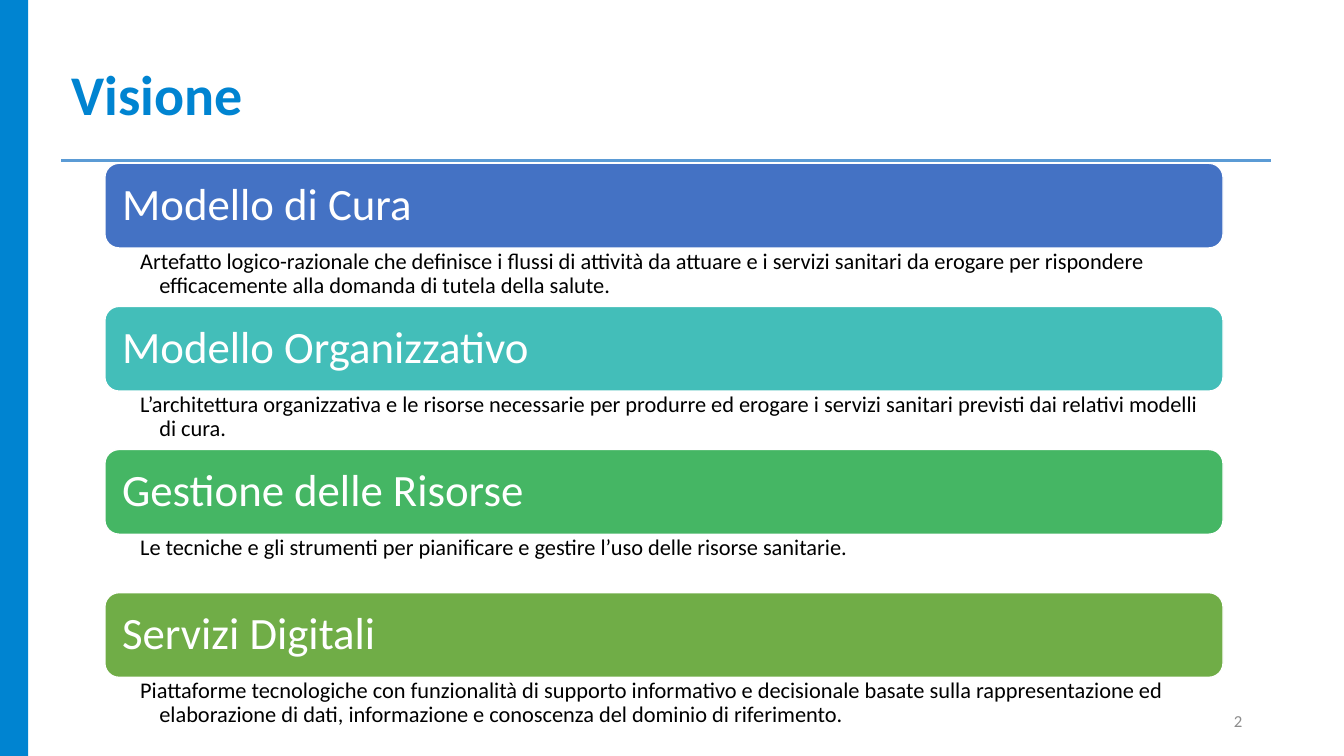
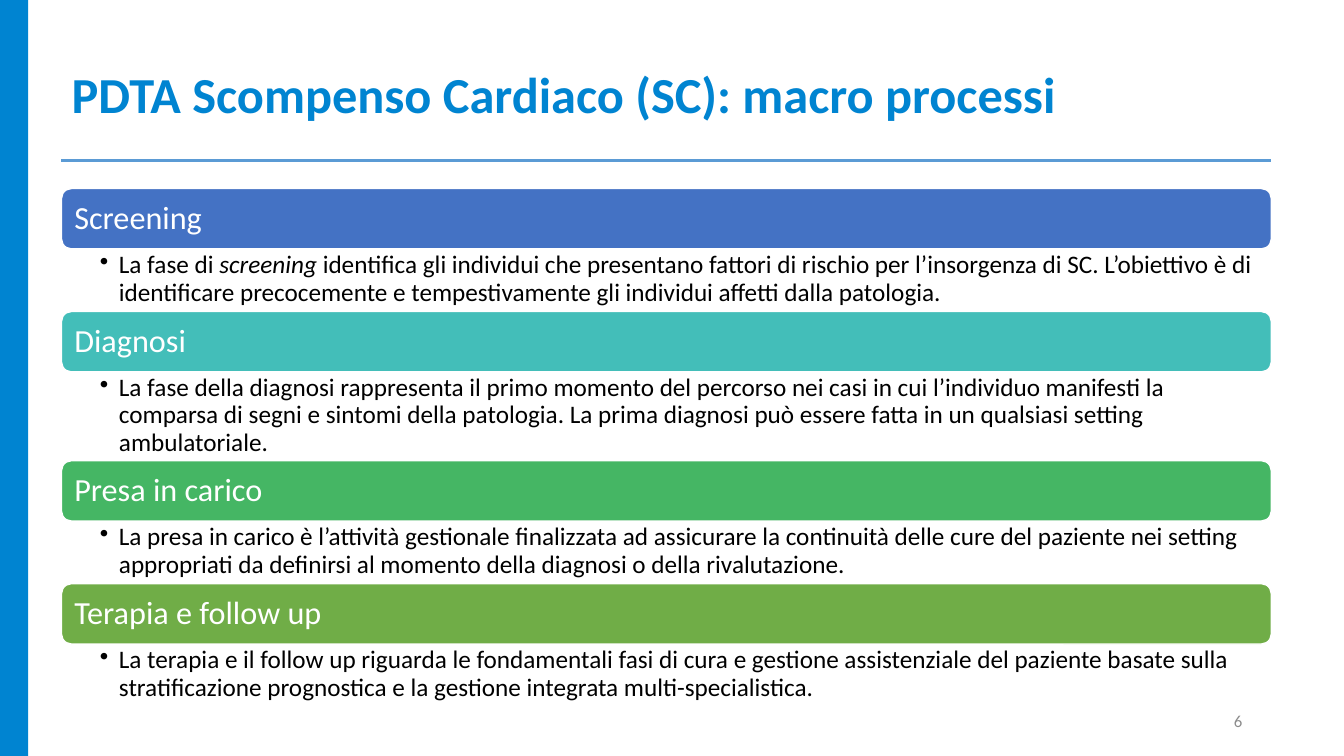
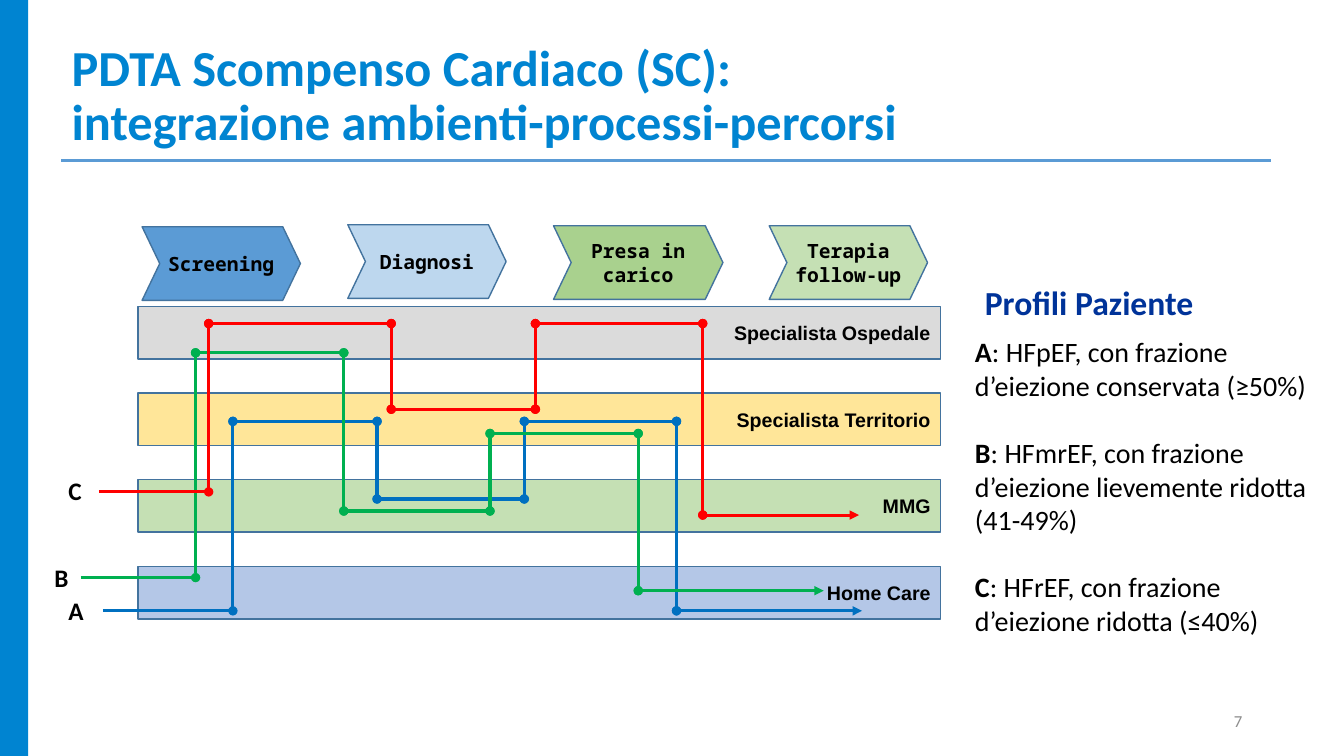
from dataclasses import dataclass
from itertools import pairwise

from lxml.etree import SubElement
from pptx import Presentation
from pptx.dml.color import RGBColor
from pptx.enum.shapes import MSO_CONNECTOR as Link, MSO_SHAPE as Shape
from pptx.enum.text import MSO_ANCHOR as Anchor, MSO_AUTO_SIZE as Fit, PP_ALIGN as Align
from pptx.oxml.ns import qn
from pptx.util import Pt

PX = 9144


@dataclass(frozen=True)
class Theme:
    font: str = "Calibri"
    lane_font: str = "Arial"
    step_font: str = "Noto Sans Mono"
    brand: str = "0084D1"
    rule: str = "5B9BD5"
    ink: str = "000000"
    white: str = "FFFFFF"
    muted: str = "8C8C8C"
    outline: str = "43739E"
    heading: str = "003399"
    bars: tuple = ("4472C4", "43BEB9", "45B664", "70AD47")
    steps: tuple = ("5B9BD5", "BDD7EE", "A9D18E", "C5E0B4")
    lanes: tuple = ("DBDBDB", "FFE699", "C5E0B4", "B4C7E7")
    routes: tuple = ("0070C0", "00B050", "FF0000")
    number_size: int = 12
    label_size: int = 14
    route_size: int = 18
    profile_size: int = 20
    heading_size: int = 24
    line_width: float = 2.25


theme = Theme()


def add_span(para, text, size, color=theme.ink, bold=False, italic=False, font=theme.font):
    span = para.add_run()
    span.text = text
    span.font.name = font
    span.font.size = Pt(size)
    span.font.bold = bold
    span.font.italic = italic
    span.font.color.rgb = RGBColor.from_string(color)


def add_line(shapes, start, end, color, head="none", tail="none"):
    line = shapes.add_connector(Link.STRAIGHT, *(PX * value for value in (*start, *end)))
    line.line.color.rgb = RGBColor.from_string(color)
    line.line.width = Pt(theme.line_width)
    properties = line.element.spPr
    outline = properties.find(qn("a:ln"))
    SubElement(outline, qn("a:headEnd"), type=head)
    SubElement(outline, qn("a:tailEnd"), type=tail)
    SubElement(properties, qn("a:effectLst"))
    return line


deck = Presentation()
deck.slide_width = 1333 * PX
deck.slide_height = 750 * PX
title_and_body, title_only = deck.slide_layouts[1], deck.slide_layouts[5]

pages = []
for layout, title, title_size, title_width, number in (
    (title_only, "Visione", 40, 934, "2"),
    (title_only, "PDTA Scompenso Cardiaco (SC): macro processi", 36, 1200, "6"),
    (title_and_body, "PDTA Scompenso Cardiaco (SC): integrazione ambienti-processi-percorsi", 36, 891, "7"),
):
    page = deck.slides.add_slide(layout)
    pages.append(page)
    heading = page.shapes.title
    heading.left, heading.top, heading.width, heading.height = 61 * PX, 34 * PX, title_width * PX, 125 * PX
    frame = heading.text_frame
    frame.word_wrap = True
    frame.auto_size = Fit.NONE
    frame.vertical_anchor = Anchor.MIDDLE
    para = frame.paragraphs[0]
    para.alignment = Align.LEFT
    para.line_spacing = 0.9
    add_span(para, title, title_size, theme.brand, bold=True)

    box = page.shapes.add_textbox(942 * PX, 695 * PX, 300 * PX, 40 * PX)
    box.text_frame.word_wrap = True
    box.text_frame.vertical_anchor = Anchor.MIDDLE
    para = box.text_frame.paragraphs[0]
    para.alignment = Align.RIGHT
    add_span(para, number, theme.number_size, theme.muted)

vision, processes, integration = pages

band = vision.shapes.add_shape(Shape.RECTANGLE, 0, 0, 28 * PX, 750 * PX)
band.shadow.inherit = False
band.fill.solid()
band.fill.fore_color.rgb = RGBColor.from_string(theme.brand)
band.line.fill.background()
rule = add_line(vision.shapes, (61, 159), (1261, 159), theme.rule)
for position, shared in enumerate((band, rule), 2):
    deck.slide_master.shapes.element.insert(position, shared.element)

vision_items = (
    ("Modello di Cura", 58, ("Artefatto logico-razionale che definisce i flussi di attività da attuare e i servizi sanitari da erogare per rispondere efficacemente alla domanda di tutela della salute.",)),
    ("Modello Organizzativo", 58, ("L’architettura organizzativa e le risorse necessarie per produrre ed erogare i servizi sanitari previsti dai relativi modelli di cura.",)),
    ("Gestione delle Risorse", 58, ("Le tecniche e gli strumenti per pianificare e gestire l’uso delle risorse sanitarie.",)),
    ("Servizi Digitali", 58, ("Piattaforme tecnologiche con funzionalità di supporto informativo e decisionale basate sulla rappresentazione ed elaborazione di dati, informazione e conoscenza del dominio di riferimento.",)),
)
process_items = (
    ("Screening", 62, ("La fase di ", "screening ", "identifica gli individui che presentano fattori di rischio per l’insorgenza di SC. L’obiettivo è di identificare precocemente e tempestivamente gli individui affetti dalla patologia.")),
    ("Diagnosi", 88, ("La fase della diagnosi rappresenta il primo momento del percorso nei casi in cui l’individuo manifesti la comparsa di segni e sintomi della patologia. La prima diagnosi può essere fatta in un qualsiasi setting ambulatoriale.",)),
    ("Presa in carico", 62, ("La presa in carico è l’attività gestionale finalizzata ad assicurare la continuità delle cure del paziente nei setting appropriati da definirsi al momento della diagnosi o della rivalutazione.",)),
    ("Terapia e follow up", 62, ("La terapia e il follow up riguarda le fondamentali fasi di cura e gestione assistenziale del paziente basate sulla stratificazione prognostica e la gestione integrata multi-specialistica.",)),
)

for page, items, left, top, width, bar_height, bar_size, bar_inset, note_size, note_insets, bullet in (
    (vision, vision_items, 104, 162, 1109, 84, 32, 13, 16, (35, 2, 12), None),
    (processes, process_items, 61, 187, 1200, 60, 23, 10, 18, (38, 3, 14), "•"),
):
    for color, (name, note_height, note) in zip(theme.bars, items):
        bar = page.shapes.add_shape(Shape.ROUNDED_RECTANGLE, left * PX, top * PX, width * PX, bar_height * PX)
        bar.shadow.inherit = False
        bar.fill.solid()
        bar.fill.fore_color.rgb = RGBColor.from_string(color)
        bar.line.color.rgb = RGBColor.from_string(theme.white)
        bar.line.width = Pt(1)
        frame = bar.text_frame
        frame.vertical_anchor = Anchor.MIDDLE
        frame.margin_left = frame.margin_right = bar_inset * PX
        frame.margin_top = frame.margin_bottom = 0
        para = frame.paragraphs[0]
        para.alignment = Align.LEFT
        para.line_spacing = 0.9
        add_span(para, name, bar_size, theme.white)
        top += bar_height

        box = page.shapes.add_textbox(left * PX, top * PX, width * PX, note_height * PX)
        frame = box.text_frame
        frame.word_wrap = True
        frame.margin_left, frame.margin_top, frame.margin_right = (inset * PX for inset in note_insets)
        frame.margin_bottom = frame.margin_top
        para = frame.paragraphs[0]
        para.line_spacing = 0.9
        properties = para._p.get_or_add_pPr()
        properties.set("marL", str(19 * PX))
        properties.set("indent", str(-19 * PX))
        if bullet:
            SubElement(properties, qn("a:buChar"), char=bullet)
        for index, text in enumerate(note):
            add_span(para, text, note_size, italic=index == 1)
        top += note_height

lane_names = ("Specialista Ospedale", "Specialista Territorio", "MMG", "Home Care")
for index, (name, color) in enumerate(zip(lane_names, theme.lanes)):
    lane = integration.shapes.add_shape(Shape.RECTANGLE, 137 * PX, (304 + 86 * index) * PX, 796 * PX, 52 * PX)
    lane.shadow.inherit = False
    lane.fill.solid()
    lane.fill.fore_color.rgb = RGBColor.from_string(color)
    lane.line.color.rgb = RGBColor.from_string(theme.outline)
    lane.line.width = Pt(1)
    lane.text_frame.vertical_anchor = Anchor.MIDDLE
    para = lane.text_frame.paragraphs[0]
    para.alignment = Align.RIGHT
    add_span(para, name, theme.label_size, bold=True, font=theme.lane_font)

routes = (
    ("A", (58, 586), (102, 231, 374, 520, 671, 855), (606, 418, 495, 418, 606)),
    ("B", (44, 553), (80, 194, 341, 486, 633, 817), (573, 350, 507, 430, 586)),
    ("C", (58, 467), (98, 207, 388, 531, 697, 852), (488, 321, 406, 321, 511)),
)
for color, (name, (left, top), turns, levels) in zip(theme.routes, routes):
    route = integration.shapes.add_group_shape()
    points = [(x, level) for ends, level in zip(pairwise(turns), levels) for x in ends]
    last = len(points) - 2
    for index, (start, end) in enumerate(pairwise(points)):
        head = "oval" if index else "none"
        tail = "triangle" if index == last else head
        add_line(route.shapes, start, end, color, head, tail)
    box = integration.shapes.add_textbox(left * PX, top * PX, 43 * PX, 40 * PX)
    box.text_frame.word_wrap = True
    add_span(box.text_frame.paragraphs[0], name, theme.route_size, bold=True)

steps = (
    (141, 225, 157, ("Screening",)),
    (345, 223, 157, ("Diagnosi",)),
    (549, 224, 168, ("Presa in carico",)),
    (763, 224, 157, ("Terapia", "follow-up")),
)
for color, (left, top, width, lines) in zip(theme.steps, steps):
    step = integration.shapes.add_shape(Shape.CHEVRON, left * PX, top * PX, width * PX, 73 * PX)
    step.adjustments[0] = 0.24
    step.shadow.inherit = False
    step.fill.solid()
    step.fill.fore_color.rgb = RGBColor.from_string(color)
    step.line.color.rgb = RGBColor.from_string(theme.outline)
    step.line.width = Pt(1)
    frame = step.text_frame
    frame.vertical_anchor = Anchor.MIDDLE
    frame.margin_left = frame.margin_right = 0
    for index, text in enumerate(lines):
        para = frame.add_paragraph() if index else frame.paragraphs[0]
        para.alignment = Align.CENTER
        add_span(para, text, theme.label_size, bold=True, font=theme.step_font)

box = integration.shapes.add_textbox(967 * PX, 275 * PX, 240 * PX, 50 * PX)
box.text_frame.word_wrap = True
add_span(box.text_frame.paragraphs[0], "Profili Paziente", theme.heading_size, theme.heading, bold=True)

profiles = integration.placeholders[1]
profiles.left, profiles.top, profiles.width, profiles.height = 967 * PX, 327 * PX, 340 * PX, 340 * PX
frame = profiles.text_frame
frame.word_wrap = True
frame.auto_size = Fit.NONE
frame.vertical_anchor = Anchor.TOP
frame.margin_left = frame.margin_right = 0
for index, (name, text) in enumerate((
    ("A", ": HFpEF, con frazione d’eiezione conservata (≥50%)"),
    ("B", ": HFmrEF, con frazione d’eiezione lievemente ridotta (41-49%)"),
    ("C", ": HFrEF, con frazione d’eiezione ridotta (≤40%)"),
)):
    para = frame.add_paragraph() if index else frame.paragraphs[0]
    para.space_before = Pt(24 if index else 0)
    properties = para._p.get_or_add_pPr()
    properties.set("marL", "0")
    properties.set("indent", "0")
    SubElement(properties, qn("a:buNone"))
    add_span(para, name, theme.profile_size, bold=True)
    add_span(para, text, theme.profile_size)

deck.save("out.pptx")
